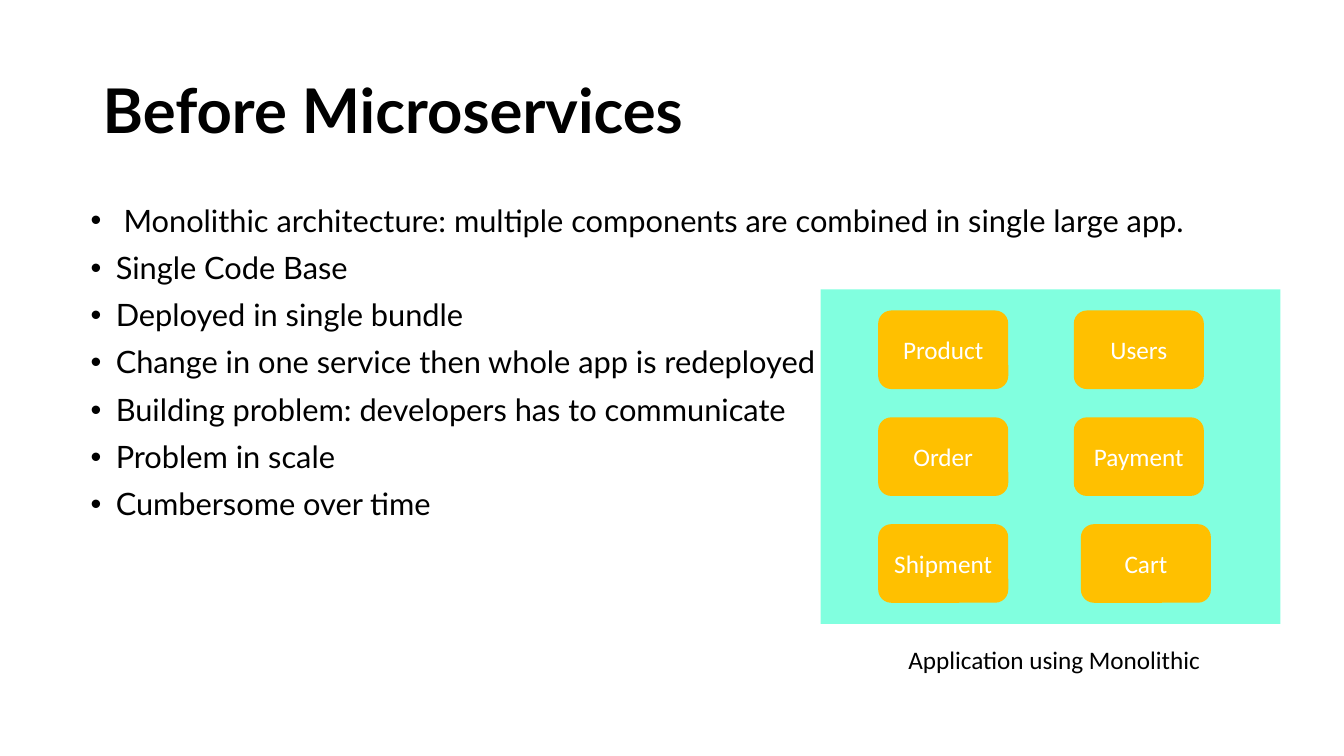
from lxml.etree import SubElement
from pptx import Presentation
from pptx.dml.color import RGBColor
from pptx.enum.shapes import MSO_SHAPE as Shape
from pptx.enum.text import MSO_ANCHOR as Anchor, PP_ALIGN as Align
from pptx.oxml.ns import qn
from pptx.util import Pt

PX = 9144  # 100 px to the inch
BLACK = RGBColor(0x00, 0x00, 0x00)
WHITE = RGBColor(0xFF, 0xFF, 0xFF)
MINT = RGBColor(0x81, 0xFF, 0xDF)
AMBER = RGBColor(0xFF, 0xC0, 0x00)

POINTS = [
    "\u00a0Monolithic architecture: multiple components are combined in single large app.".replace("\u00a0", " "),
    "Single Code Base",
    "Deployed in single bundle",
    "Change in one service then whole app is redeployed",
    "Building problem: developers has to communicate",
    "Problem in scale",
    "Cumbersome over time",
]
SERVICES = [("Product", "Users"), ("Order", "Payment"), ("Shipment", "Cart")]
CART_SHIFT = 7


def px(*lengths):
    return [length * PX for length in lengths]


def write(shape, lines, size, font="Calibri", color=BLACK, bold=False,
          align=Align.LEFT, anchor=Anchor.TOP, spacing=None, before=None, bullet_indent=0):
    frame = shape.text_frame
    frame.word_wrap = True
    frame.vertical_anchor = anchor
    for index, line in enumerate(lines):
        para = frame.add_paragraph() if index else frame.paragraphs[0]
        para.alignment = align
        para.line_spacing = spacing
        para.space_before = before
        span = para.add_run()
        span.text = line
        span.font.size = Pt(size)
        span.font.name = font
        span.font.bold = bold
        span.font.color.rgb = color
        if bullet_indent:
            add_bullet(para, bullet_indent)


def add_bullet(para, indent):
    properties = para._p.get_or_add_pPr()
    properties.set("marL", str(indent * PX))
    properties.set("indent", str(-indent * PX))
    SubElement(properties, qn("a:buFont"), typeface="Arial")
    SubElement(properties, qn("a:buChar"), char="•")


def add_block(shapes, kind, fill, left, top, width, height):
    block = shapes.add_shape(kind, *px(left, top, width, height))
    block.shadow.inherit = False
    block.fill.solid()
    block.fill.fore_color.rgb = fill
    block.line.fill.background()
    return block


def add_title(page, left, top, width, height):
    box = page.shapes.add_textbox(*px(left, top, width, height))
    write(box, ["Before Microservices"], 44, font="Lato", bold=True,
          anchor=Anchor.MIDDLE, spacing=0.9)


def add_points(page, left, top, width, height):
    box = page.shapes.add_textbox(*px(left, top, width, height))
    write(box, POINTS, 22, font="Lato", spacing=0.9, before=Pt(10), bullet_indent=25)


def add_monolith(page, left, top, width, height):
    """Draw the application panel, its grid of services and the caption below."""
    group = page.shapes.add_group_shape()
    add_block(group.shapes, Shape.RECTANGLE, MINT, left, top, width, height)
    for row, names in enumerate(SERVICES):
        for column, name in enumerate(names):
            shift = CART_SHIFT if name == "Cart" else 0
            service = add_block(group.shapes, Shape.ROUNDED_RECTANGLE, AMBER,
                                left + 57 + 194 * column + shift,
                                top + 21 + 106 * row, 129, 78)
            write(service, [name], 18, color=WHITE, align=Align.CENTER, anchor=Anchor.MIDDLE)
    caption = page.shapes.add_textbox(*px(left + 77, top + height + 15, 325, 40))
    write(caption, ["Application using Monolithic"], 18)


def main():
    deck = Presentation()
    deck.slide_width, deck.slide_height = px(1333, 750)
    page = deck.slides.add_slide(deck.slide_layouts[6])
    add_title(page, 92, 40, 1150, 145)
    add_points(page, 80, 199, 1150, 476)
    add_monolith(page, 814, 287, 456, 332)
    deck.save("out.pptx")


if __name__ == "__main__":
    main()
